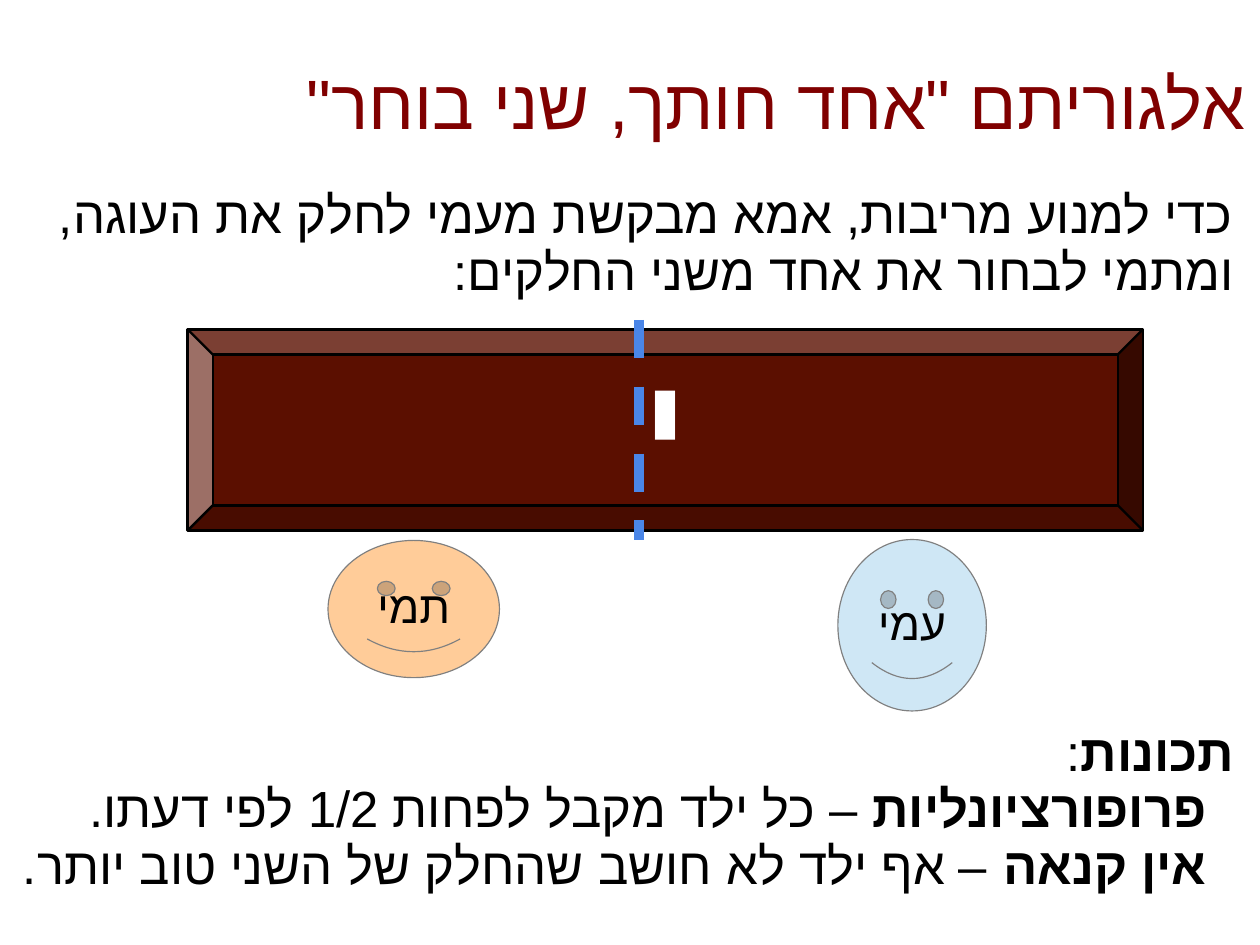
import pptx
import pptx.dml.color
import pptx.enum.dml
import pptx.enum.shapes
import pptx.enum.text
import pptx.oxml
import pptx.oxml.ns
import pptx.util

Cm, Pt = pptx.util.Cm, pptx.util.Pt
Kind = pptx.enum.shapes.MSO_SHAPE
Align = pptx.enum.text.PP_ALIGN
Anchor = pptx.enum.text.MSO_ANCHOR

THEME = {
    "font": "Arial",
    "title": "800000", "ink": "000000", "light": "FFFFFF",
    "cake": "5B0F00", "cut": "4A86E8", "edge": "808080",
    "boy": "CFE7F5", "girl": "FFCC99",
    "head": 44, "body": 32, "name": 28, "mark": 96,
    "lead": 0.93,
}

# Runs are (text, bold); boxes are (left, top, width, height) in cm.
TITLE = [[('אלגוריתם "אחד חותך, שני בוחר"', False)]]
INTRO = [[("כדי למנוע מריבות, אמא מבקשת מעמי לחלק את העוגה, "
           "ומתמי לבחור את אחד משני החלקים:", False)]]
TRAITS = [
    [("תכונות", True), (":", False)],
    [("פרופורציונליות", True),
     (" – כל ילד מקבל לפחות 1/2 לפי דעתו.", False)],
    [("אין קנאה", True),
     (" – אף ילד לא חושב שהחלק של השני טוב יותר.", False)],
]
MARK = [[("י", True)]]
KIDS = [
    ("עמי", "boy", (18.62, 11.99, 3.3, 3.81)),
    ("תמי", "girl", (7.29, 12.01, 3.81, 3.05)),
]
CAKE = (4.17, 7.32, 21.23, 4.47)
CUT = (14.2, 7.11, 12.01)
INSET = (0.25, 0.13, 0.25, 0.13)
HANG = 0.61


def color(key):
    return pptx.dml.color.RGBColor.from_string(THEME[key])


def write(shape, paras, size, ink="ink", align=Align.RIGHT,
          anchor=Anchor.TOP, inset=INSET, lead=THEME["lead"], hang=0):
    """Fill a shape with right-to-left text; hang indents all but the first line."""
    frame = shape.text_frame
    frame.word_wrap = True
    frame.vertical_anchor = anchor
    (frame.margin_left, frame.margin_top,
     frame.margin_right, frame.margin_bottom) = map(Cm, inset)
    for i, runs in enumerate(paras):
        para = frame.add_paragraph() if i else frame.paragraphs[0]
        para.alignment = align
        para.line_spacing = lead
        props = para._p.get_or_add_pPr()
        props.set("rtl", "1")
        if i and hang:
            props.set("marL", str(Cm(hang)))
            props.set("indent", "0")
        for text, bold in runs:
            run = para.add_run()
            run.text = text
            font = run.font
            font.size, font.bold, font.name = Pt(THEME[size]), bold, THEME["font"]
            font.color.rgb = color(ink)
            script = pptx.oxml.parse_xml(
                f'<a:cs {pptx.oxml.ns.nsdecls("a")} typeface="{THEME["font"]}"/>')
            run._r.get_or_add_rPr().append(script)


def label(slide, box, paras, size, **style):
    write(slide.shapes.add_textbox(*map(Cm, box)), paras, size, **style)


def solid(slide, kind, box, fill, edge, width):
    shape = slide.shapes.add_shape(kind, *map(Cm, box))
    shape.shadow.inherit = False
    shape.fill.solid()
    shape.fill.fore_color.rgb = color(fill)
    shape.line.color.rgb = color(edge)
    shape.line.width = Pt(width)
    return shape


def slice_line(slide):
    x, top, end = map(Cm, CUT)
    line = slide.shapes.add_connector(
        pptx.enum.shapes.MSO_CONNECTOR.STRAIGHT, x, top, x, end)
    line.line.color.rgb = color("cut")
    line.line.width = Pt(6)
    line.line.dash_style = pptx.enum.dml.MSO_LINE.DASH
    line._element.spPr.append(pptx.oxml.parse_xml(
        f'<a:effectLst {pptx.oxml.ns.nsdecls("a")}/>'))


def main():
    deck = pptx.Presentation()
    deck.slide_width, deck.slide_height = Cm(28), Cm(21)
    slide = deck.slides.add_slide(deck.slide_layouts[6])

    label(slide, (5.92, 0.56, 21.79, 3.5), TITLE, "head", ink="title",
          anchor=Anchor.MIDDLE, inset=(0, 0.1, 0, 0))
    for name, fill, box in KIDS:
        face = solid(slide, Kind.SMILEY_FACE, box, fill, "edge", 0.75)
        face.adjustments[0] = 0.0465
        write(face, [[(name, False)]], "name",
              align=Align.CENTER, anchor=Anchor.MIDDLE)
    label(slide, (0.76, 4.06, 26.92, 4.01), INTRO, "body")
    solid(slide, Kind.BEVEL, CAKE, "cake", "ink", 1.5)
    label(slide, (10.62, 7.11, 8.33, 4.9), MARK, "mark", ink="light",
          align=Align.CENTER, inset=(0.25,) * 4, lead=1.0)
    label(slide, (0.25, 16, 27.43, 4.27), TRAITS, "body", hang=HANG)
    slice_line(slide)
    deck.save("out.pptx")


if __name__ == "__main__":
    main()
